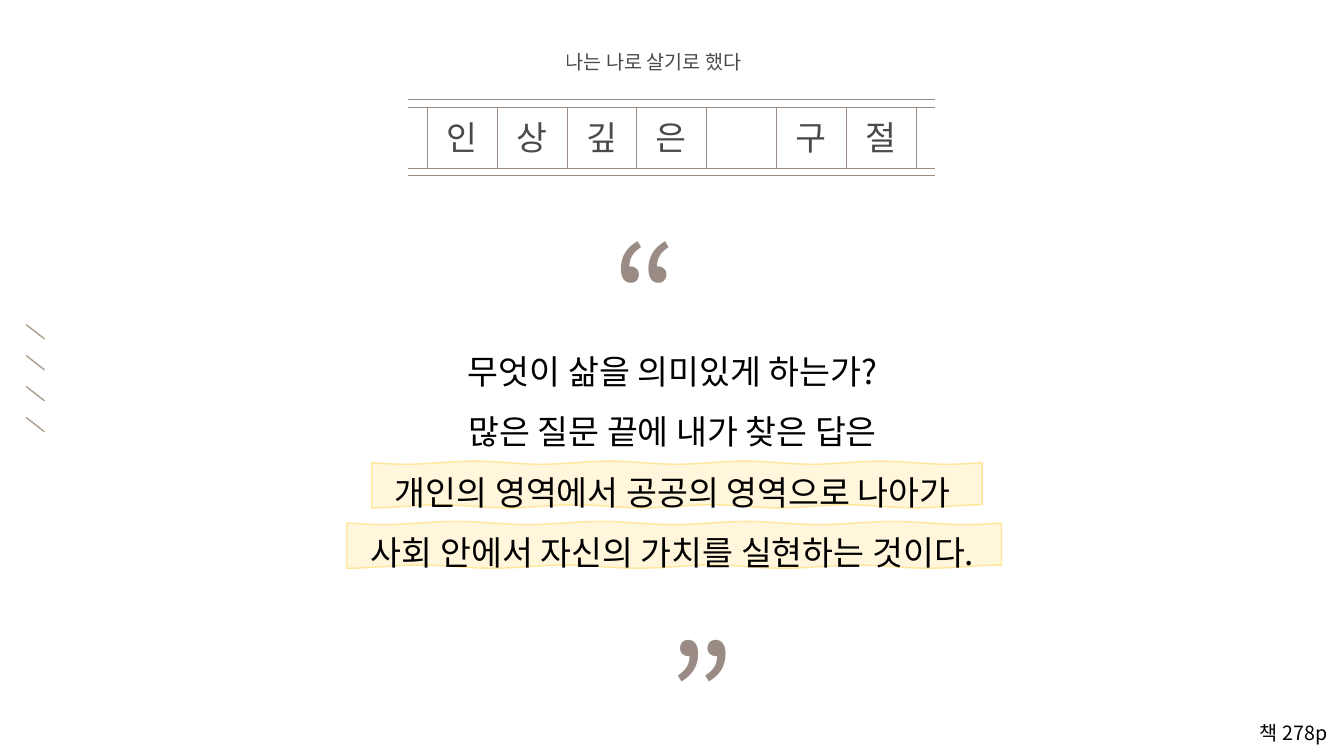
from dataclasses import dataclass
from math import pi, sin

from lxml.etree import SubElement
from pptx import Presentation
from pptx.dml.color import RGBColor
from pptx.enum.shapes import MSO_CONNECTOR as Connector
from pptx.enum.text import MSO_ANCHOR as Anchor
from pptx.enum.text import MSO_AUTO_SIZE as AutoSize
from pptx.enum.text import PP_ALIGN as Align
from pptx.oxml.ns import qn
from pptx.util import Cm, Pt

FONT = "Noto Sans CJK KR"
COLORS = {
    "ink": "000000",
    "rule": "9A8B85",
    "tick": "AC9D8E",
    "marker": "FFE699",
}


@dataclass
class Area:
    left: float
    top: float
    width: float
    height: float


@dataclass
class Label:
    lines: list[str]
    area: Area
    size: float
    color: str = "ink"
    align: Align = Align.LEFT
    alpha: int = 100
    spacing: float = 1.0
    wrap: bool = True


@dataclass
class Stroke:
    start: tuple[float, float]
    end: tuple[float, float]
    color: str = "rule"
    weight: float = 0.75


def rgb(name: str) -> RGBColor:
    return RGBColor.from_string(COLORS[name])


def set_alpha(element, percent: int) -> None:
    color = next(element.iter(qn("a:srgbClr")))
    SubElement(color, qn("a:alpha"), val=str(percent * 1000))


def write_label(box, label: Label) -> None:
    area = label.area
    for name in ("left", "top", "width", "height"):
        setattr(box, name, Cm(getattr(area, name)))
    frame = box.text_frame
    frame_format = {
        "word_wrap": label.wrap,
        "auto_size": AutoSize.SHAPE_TO_FIT_TEXT,
        "vertical_anchor": Anchor.TOP,
    }
    for name, value in frame_format.items():
        setattr(frame, name, value)
    para_format = {
        "alignment": label.align,
        "line_spacing": label.spacing,
        "space_before": Pt(0),
    }
    for index, line in enumerate(label.lines):
        para = frame.add_paragraph() if index else frame.paragraphs[0]
        for name, value in para_format.items():
            setattr(para, name, value)
        span = para.add_run()
        span.text = line
        span.font.name = FONT
        span.font.size = Pt(label.size)
        span.font.color.rgb = rgb(label.color)
        properties = span.font._element if hasattr(span.font, "_element") else span._r.get_or_add_rPr()
        SubElement(properties, qn("a:ea"), typeface=FONT)
        if label.alpha < 100:
            set_alpha(properties, label.alpha)


def add_label(page, label: Label) -> None:
    write_label(page.shapes.add_textbox(0, 0, 0, 0), label)


def fill_placeholder(page, box, label: Label) -> None:
    write_label(box, label)
    for para in box.text_frame.paragraphs:
        properties = para._p.get_or_add_pPr()
        properties.set("marL", "0")
        properties.set("indent", "0")
        SubElement(properties, qn("a:buNone"))
    # Bring the text in front of the marker strokes
    page.shapes.element.append(box.element)


def add_stroke(page, stroke: Stroke) -> None:
    ends = [Cm(value) for value in (*stroke.start, *stroke.end)]
    line = page.shapes.add_connector(Connector.STRAIGHT, *ends)
    line.line.color.rgb = rgb(stroke.color)
    line.line.width = Pt(stroke.weight)
    SubElement(line.element.spPr, qn("a:effectLst"))


def add_marker(page, area: Area) -> None:
    """Draw a translucent highlighter bar with softly waving long edges."""
    steps = 60

    def edge(top: float, phase: float) -> list[tuple[int, int]]:
        return [
            (Cm(area.left + area.width * step / steps),
             Cm(top + 0.04 * sin(phase + 9 * pi * step / steps)))
            for step in range(steps + 1)
        ]

    upper = edge(area.top, 0)
    lower = edge(area.top + area.height, pi / 2)[::-1]
    builder = page.shapes.build_freeform(*upper[0])
    builder.add_line_segments(upper[1:] + lower, close=True)
    bar = builder.convert_to_shape()
    bar.shadow.inherit = False
    bar.fill.solid()
    bar.fill.fore_color.rgb = rgb("marker")
    set_alpha(bar.element.spPr, 35)
    bar.line.color.rgb = rgb("marker")
    bar.line.width = Pt(1)


def main() -> None:
    deck = Presentation()
    deck.slide_width, deck.slide_height = Cm(33.87), Cm(19.05)
    page = deck.slides.add_slide(deck.slide_layouts[1])
    heading, body = page.shapes.title, page.placeholders[1]

    # Highlighter bars behind the last two lines of the quotation
    for area in (Area(9.37, 11.66, 15.38, 1.1), Area(8.74, 13.18, 16.5, 1.1)):
        add_marker(page, area)

    # Book title
    fill_placeholder(page, heading, Label(
        ["나는 나로 살기로 했다"], Area(14, 1.14, 5.89, 0.86), 14,
        align=Align.JUSTIFY, alpha=71))

    # Slanted ticks at the left edge
    for index in range(4):
        top = 8.18 + 0.78 * index
        add_stroke(page, Stroke((0.66, top), (1.12, top + 0.36), "tick", 1))

    # Manuscript grid with one letter per cell
    letters = "인상깊은 구절"
    grid_left, pitch = 10.77, 1.76
    for top in (2.51, 2.72, 4.24, 4.42):
        add_stroke(page, Stroke((10.29, top), (23.57, top)))
    for index in range(len(letters) + 1):
        x = grid_left + pitch * index
        add_stroke(page, Stroke((x, 2.72), (x, 4.23)))
    for index, letter in enumerate(letters):
        if letter != " ":
            cell = Area(grid_left + pitch * index + 0.23, 2.82, 1.37, 1.27)
            add_label(page, Label([letter], cell, 24, alpha=71))

    # Quotation marks
    add_label(page, Label(["“"], Area(14.35, 5.18, 3.84, 4.52), 100, "rule", Align.CENTER))
    add_label(page, Label(["”"], Area(15.65, 15.24, 4.06, 4.52), 100, "rule",
                          Align.CENTER, wrap=False))

    # Quotation
    fill_placeholder(page, body, Label(
        ["무엇이 삶을 의미있게 하는가?",
         "많은 질문 끝에 내가 찾은 답은",
         "개인의 영역에서 공공의 영역으로 나아가",
         "사회 안에서 자신의 가치를 실현하는 것이다."],
        Area(3.63, 8.2, 26.64, 6.22), 24, align=Align.CENTER, spacing=1.5))

    # Page reference
    add_label(page, Label(["책 278p"], Area(23.77, 18.03, 9.93, 0.86), 14, align=Align.RIGHT))

    deck.save("out.pptx")


if __name__ == "__main__":
    main()
